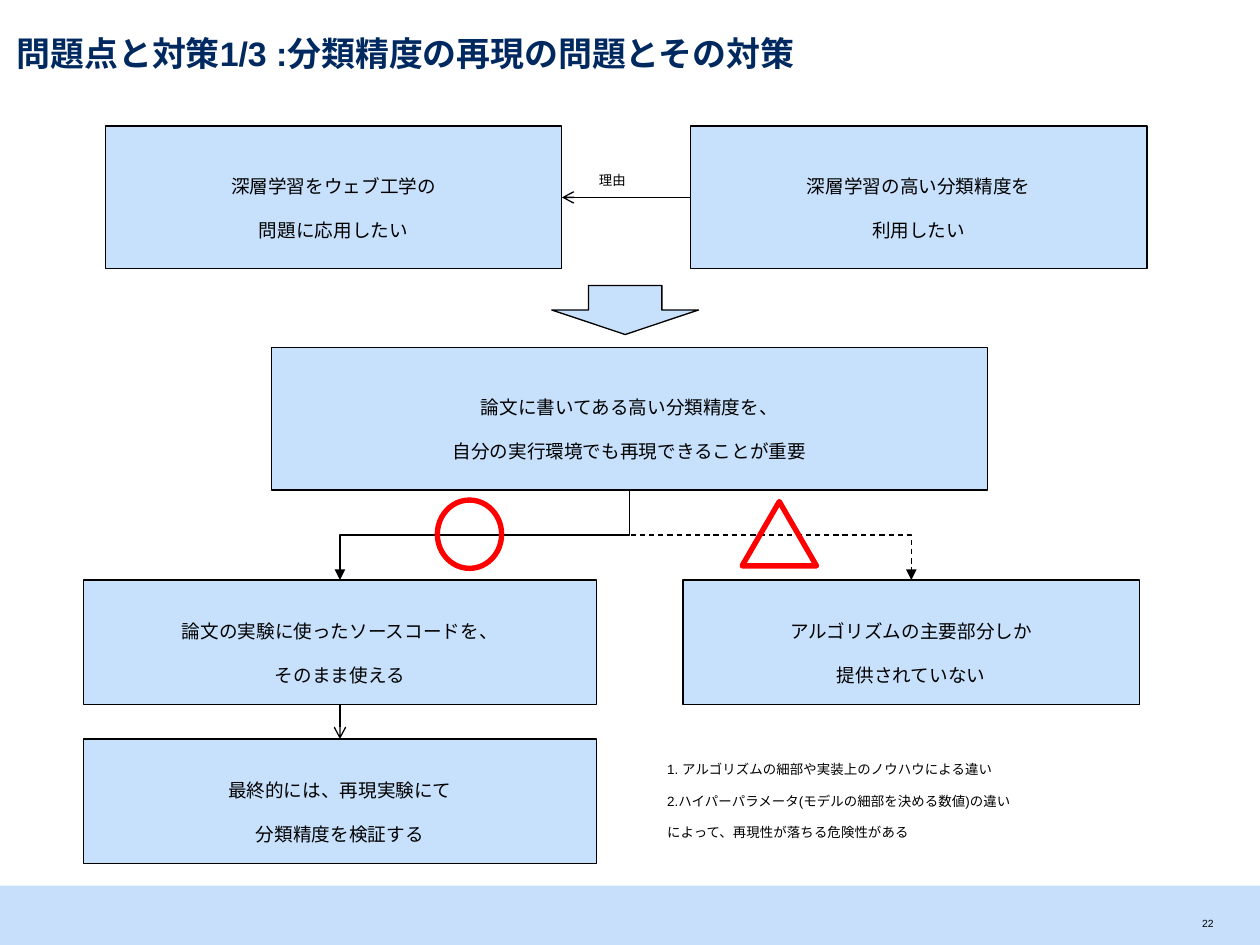
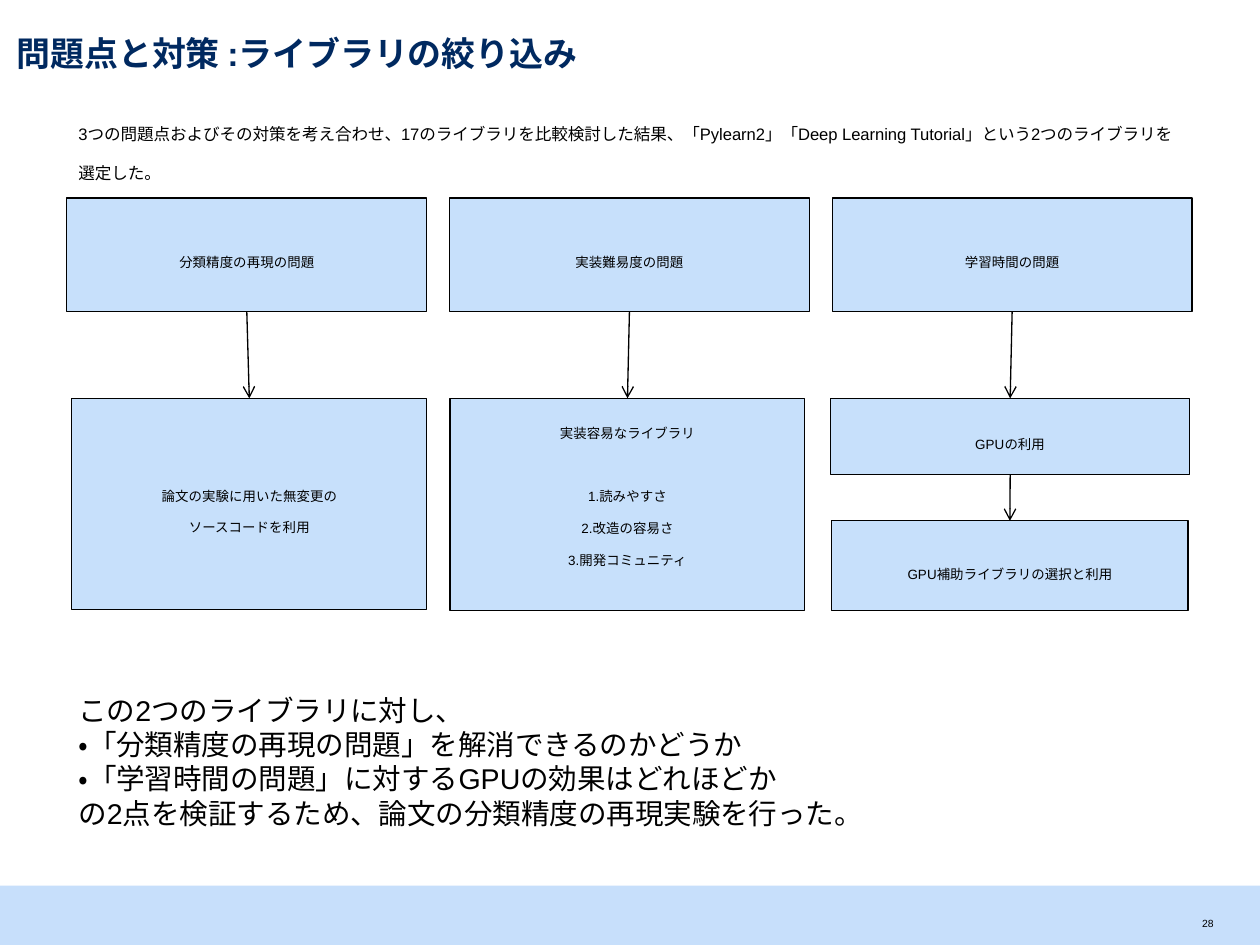
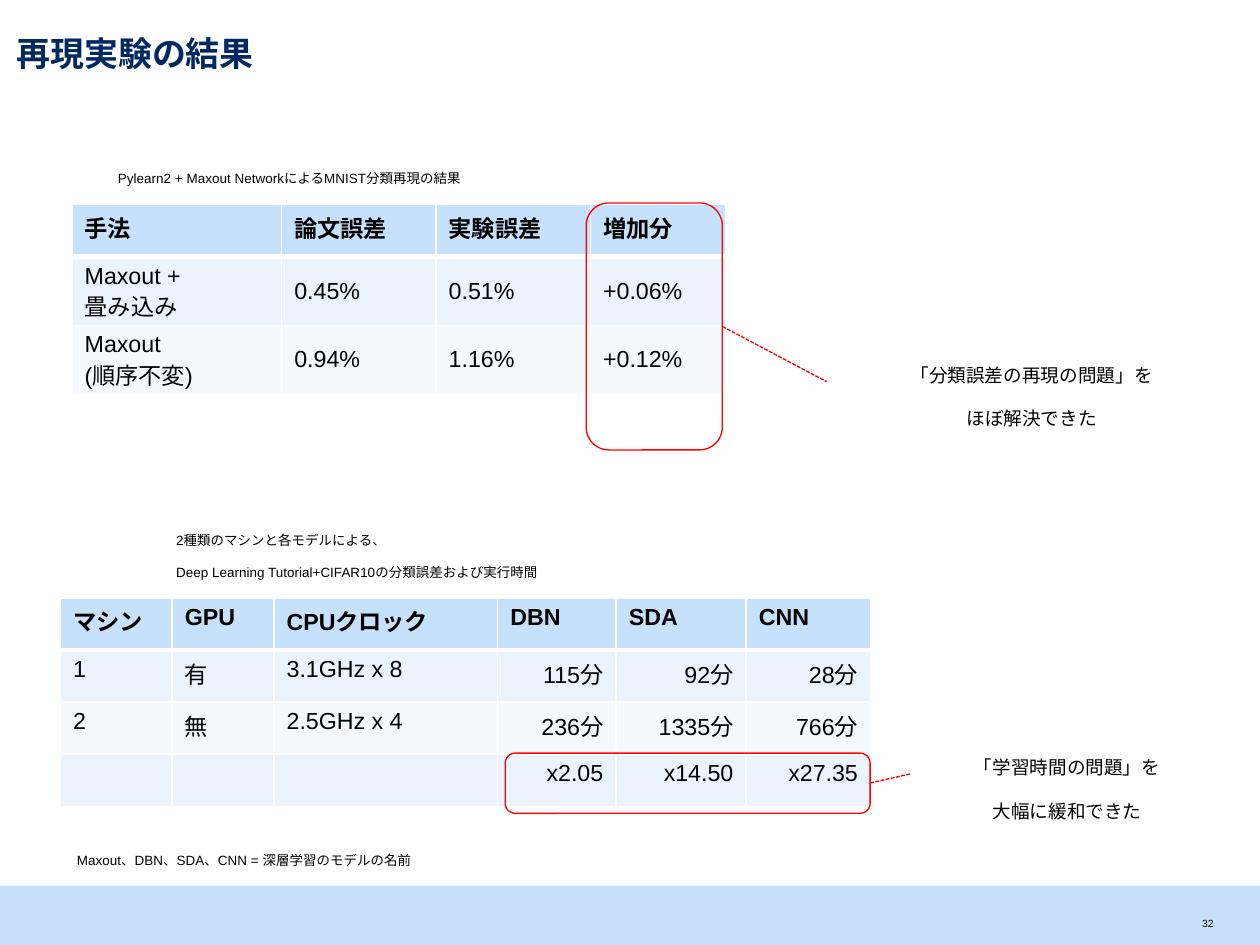
"""Build three slides on reproducing deep learning results."""
import dataclasses

import lxml.etree
import pptx
import pptx.dml.color
import pptx.enum.dml
import pptx.enum.lang
import pptx.enum.shapes
import pptx.enum.text
import pptx.oxml.ns
import pptx.util

Cm = pptx.util.Cm
Pt = pptx.util.Pt
qn = pptx.oxml.ns.qn
SHAPE = pptx.enum.shapes.MSO_SHAPE
WIRE = pptx.enum.shapes.MSO_CONNECTOR
DASH = pptx.enum.dml.MSO_LINE
ALIGN = pptx.enum.text.PP_ALIGN
ANCHOR = pptx.enum.text.MSO_ANCHOR
JAPAN = pptx.enum.lang.MSO_LANGUAGE_ID.JAPANESE


@dataclasses.dataclass(frozen=True)
class Theme:
    font: str = "Arial"
    ink: str = "000000"
    navy: str = "002960"
    band: str = "C7DFFB"
    box: str = "C7E0FB"
    rows: tuple = ("F5F9FE", "EBF3FD")
    white: str = "FFFFFF"
    red: str = "FF0000"
    title: int = 19
    large: int = 18
    body: int = 16
    small: int = 13
    page: int = 10
    thin: float = 0.75
    thick: int = 3
    low: int = -25000


def rgb(code):
    return pptx.dml.color.RGBColor.from_string(code)


class Deck:
    def __init__(self, theme):
        self.theme = theme
        self.show = pptx.Presentation()
        self.show.slide_width = Cm(24.89)
        self.show.slide_height = Cm(18.67)
        self.slide = None

    def start(self, title, page):
        t = self.theme
        self.slide = self.show.slides.add_slide(self.show.slide_layouts[6])
        self.shape(SHAPE.RECTANGLE, 0, 17.5, 24.89, 1.17, fill=t.band)
        self.text(0.33, 0.64, 23.95, 0.81, [title], t.title, color=t.navy,
                  bold=True, low=False, inset=False, anchor=ANCHOR.MIDDLE)
        self.text(23.75, 17.88, 0.53, 0.43, [str(page)], t.page, inset=False)

    def put(self, frame, lines, size, color=None, bold=False, low=True,
            align=ALIGN.LEFT):
        for i, line in enumerate(lines):
            para = frame.add_paragraph() if i else frame.paragraphs[0]
            para.alignment = align
            run = para.add_run()
            run.text = line
            font = run.font
            font.name = self.theme.font
            font.size = Pt(size)
            font.bold = bold
            font.language_id = JAPAN
            font.color.rgb = rgb(color or self.theme.ink)
            if low:
                run._r.get_or_add_rPr().set("baseline", str(self.theme.low))

    def text(self, x, y, w, h, lines, size, inset=True, anchor=ANCHOR.TOP,
             **style):
        frame = self.slide.shapes.add_textbox(
            Cm(x), Cm(y), Cm(w), Cm(h)).text_frame
        frame.word_wrap = True
        frame.vertical_anchor = anchor
        if not inset:
            frame.margin_left = frame.margin_right = 0
            frame.margin_top = frame.margin_bottom = 0
        self.put(frame, lines, size, **style)
        return frame

    def shape(self, kind, x, y, w, h, fill=None, line=None, width=None):
        item = self.slide.shapes.add_shape(kind, Cm(x), Cm(y), Cm(w), Cm(h))
        item.shadow.inherit = False
        if fill:
            item.fill.solid()
            item.fill.fore_color.rgb = rgb(fill)
        else:
            item.fill.background()
        if line:
            item.line.color.rgb = rgb(line)
            item.line.width = Pt(width or self.theme.thin)
        else:
            item.line.fill.background()
        return item

    def box(self, x, y, w, h, lines, size):
        item = self.shape(SHAPE.RECTANGLE, x, y, w, h, self.theme.box,
                          self.theme.ink)
        item.text_frame.word_wrap = True
        item.text_frame.vertical_anchor = ANCHOR.MIDDLE
        self.put(item.text_frame, lines, size, align=ALIGN.CENTER)
        return item

    def wire(self, kind, start, end, color=None, dash=None, head=None):
        item = self.slide.shapes.add_connector(kind, *start, *end)
        item.line.color.rgb = rgb(color or self.theme.ink)
        item.line.width = Pt(self.theme.thin)
        if dash:
            item.line.dash_style = dash
        if head:
            lxml.etree.SubElement(item.line._get_or_add_ln(),
                                  qn("a:tailEnd"), type=head)
        lxml.etree.SubElement(item._element.spPr, qn("a:effectLst"))
        return item

    def down(self, top, low):
        self.wire(WIRE.STRAIGHT, foot(top), crown(low), head="arrow")

    def fork(self, top, low, dash=None):
        (x1, y1), (x2, y2) = foot(top), crown(low)
        midx, midy = (x1 + x2) // 2, (y1 + y2) // 2
        dx, dy = (y2 - y1) // 2, abs(x2 - x1) // 2
        left = x2 < x1
        side = -dx if left else dx
        item = self.wire(WIRE.ELBOW, (midx + side, midy - dy),
                         (midx - side, midy + dy), dash=dash, head="triangle")
        turn = 90 if left else 270
        item._element.spPr.find(qn("a:xfrm")).set("rot", str(turn * 60000))

    def note(self, start, end):
        self.wire(WIRE.STRAIGHT, [Cm(v) for v in start],
                  [Cm(v) for v in end], self.theme.red, DASH.SQUARE_DOT)

    def edge(self, cell, head):
        props = cell._tc.get_or_add_tcPr()
        for side in "LRTB":
            width = 3 if head and side == "B" else 1
            line = lxml.etree.SubElement(props, qn("a:ln" + side),
                                         w=str(int(Pt(width))))
            fill = lxml.etree.SubElement(line, qn("a:solidFill"))
            lxml.etree.SubElement(fill, qn("a:srgbClr"), val=self.theme.white)

    def table(self, x, y, cols, data, right):
        t = self.theme
        high = 1.03
        grid = self.slide.shapes.add_table(
            len(data), len(cols), Cm(x), Cm(y), Cm(sum(cols)),
            Cm(high * len(data))).table
        grid.first_row = grid.horz_banding = False
        for col, wide in zip(grid.columns, cols):
            col.width = Cm(wide)
        for r, row in enumerate(data):
            grid.rows[r].height = Cm(high)
            for c, text in enumerate(row):
                cell = grid.cell(r, c)
                self.edge(cell, r == 0)
                cell.fill.solid()
                cell.fill.fore_color.rgb = rgb(t.rows[r % 2] if r else t.box)
                if "%" in text:
                    cell.vertical_anchor = ANCHOR.MIDDLE
                if text:
                    align = ALIGN.RIGHT if r and c >= right else ALIGN.LEFT
                    self.put(cell.text_frame, text.split("\n"), t.small,
                             bold=r == 0, low=False, align=align)


def foot(item):
    return item.left + item.width // 2, item.top + item.height


def crown(item):
    return item.left + item.width // 2, item.top


def issue(deck):
    t = deck.theme
    deck.start("問題点と対策1/3 :分類精度の再現の問題とその対策", 22)
    deck.box(2.08, 2.49, 9.02, 2.82,
             ["深層学習をウェブ工学の", "問題に応用したい"], t.large)
    deck.box(13.64, 2.49, 9.02, 2.82,
             ["深層学習の高い分類精度を", "利用したい"], t.large)
    deck.wire(WIRE.STRAIGHT, (Cm(13.64), Cm(3.9)), (Cm(11.1), Cm(3.9)),
              head="arrow")
    deck.text(11.58, 2.97, 1.45, 0.81, ["理由"], t.small)
    deck.shape(SHAPE.DOWN_ARROW, 10.9, 5.64, 2.9, 0.97, t.box, t.ink)
    goal = deck.box(5.36, 6.86, 14.15, 2.82,
                    ["論文に書いてある高い分類精度を、",
                     "自分の実行環境でも再現できることが重要"], t.large)
    code = deck.box(1.65, 11.46, 10.13, 2.46,
                    ["論文の実験に使ったソースコードを、", "そのまま使える"],
                    t.large)
    part = deck.box(13.49, 11.46, 9.02, 2.46,
                    ["アルゴリズムの主要部分しか", "提供されていない"], t.large)
    deck.fork(goal, code)
    deck.fork(goal, part, DASH.DASH)
    deck.shape(SHAPE.OVAL, 8.64, 9.88, 1.27, 1.35, line=t.red, width=t.thick)
    deck.shape(SHAPE.ISOSCELES_TRIANGLE, 14.66, 9.91, 1.47, 1.27,
               line=t.red, width=t.thick)
    test = deck.box(1.65, 14.6, 10.13, 2.46,
                    ["最終的には、再現実験にて", "分類精度を検証する"], t.large)
    deck.down(code, test)
    deck.text(12.93, 14.6, 11.96, 1.93,
              ["1. アルゴリズムの細部や実装上のノウハウによる違い",
               "2.ハイパーパラメータ(モデルの細部を決める数値)の違い",
               "によって、再現性が落ちる危険性がある"], t.small)


def choice(deck):
    t = deck.theme
    deck.start("問題点と対策 :ライブラリの絞り込み", 28)
    names = ["分類精度の再現の問題", "実装難易度の問題", "学習時間の問題"]
    tops = [deck.box(1.32 + 7.56 * i, 3.91, 7.11, 2.24, [name], t.small)
            for i, name in enumerate(names)]
    code = deck.box(1.42, 7.87, 7.01, 4.17,
                    ["論文の実験に用いた無変更の", "ソースコードを利用"], t.small)
    ease = deck.box(8.89, 7.87, 7.01, 4.19,
                    ["実装容易なライブラリ", "1.読みやすさ", "2.改造の容易さ",
                     "3.開発コミュニティ"], t.small)
    ease.text_frame.paragraphs[1].space_before = Pt(17.5)
    ease.text_frame.margin_bottom = Cm(0.74)
    card = deck.box(16.41, 7.87, 7.09, 1.5, ["GPUの利用"], t.small)
    tool = deck.box(16.43, 10.29, 7.04, 1.78,
                    ["GPU補助ライブラリの選択と利用"], t.small)
    for top, low in zip(tops + [card], [code, ease, card, tool]):
        deck.down(top, low)
    body = deck.text(1.55, 13.69, 21.92, 2.74,
                     ["この2つのライブラリに対し、",
                      "・「分類精度の再現の問題」を解消できるのかどうか",
                      "・「学習時間の問題」に対するGPUの効果はどれほどか",
                      "の2点を検証するため、論文の分類精度の再現実験を行った。"],
                     t.body, low=False, inset=False)
    for para in body.paragraphs:
        para.line_spacing = Pt(19.2)
    deck.text(1.55, 2.08, 21.92, 1.37,
              ["3つの問題点およびその対策を考え合わせ、17のライブラリを"
               "比較検討した結果、「Pylearn2」「Deep Learning Tutorial」"
               "という2つのライブラリを選定した。"], t.body, inset=False)


def result(deck):
    t = deck.theme
    deck.start("再現実験の結果", 32)
    deck.table(1.42, 4.04, [4.14, 3.05, 3.05, 2.67], [
        ["手法", "論文誤差", "実験誤差", "増加分"],
        ["Maxout +\n畳み込み", "0.45%", "0.51%", "+0.06%"],
        ["Maxout\n(順序不変)", "0.94%", "1.16%", "+0.12%"]], 4)
    deck.table(1.19, 11.81, [2.21, 2.01, 4.42, 2.34, 2.57, 2.46], [
        ["マシン", "GPU", "CPUクロック", "DBN", "SDA", "CNN"],
        ["1", "有", "3.1GHz x 8", "115分", "92分", "28分"],
        ["2", "無", "2.5GHz x 4", "236分", "1335分", "766分"],
        ["", "", "", "x2.05", "x14.50", "x27.35"]], 3)
    deck.text(2.08, 2.92, 12.01, 0.81,
              ["Pylearn2 + Maxout NetworkによるMNIST分類再現の結果"], t.small)
    deck.text(3.23, 10.08, 12.8, 1.37,
              ["2種類のマシンと各モデルによる、",
               "Deep Learning Tutorial+CIFAR10の分類誤差および実行時間"],
              t.small)
    deck.shape(SHAPE.ROUNDED_RECTANGLE, 11.58, 4.01, 2.69, 4.88, line=t.red)
    deck.text(16.33, 6.63, 8.1, 1.8,
              ["「分類誤差の再現の問題」を", "ほぼ解決できた"], t.large,
              align=ALIGN.CENTER)
    deck.note((14.27, 6.45), (16.33, 7.54))
    deck.shape(SHAPE.ROUNDED_RECTANGLE, 9.98, 14.88, 7.21, 1.19, line=t.red)
    deck.note((17.19, 15.47), (17.98, 15.29))
    deck.text(17.98, 14.38, 6.2, 1.8,
              ["「学習時間の問題」を", "大幅に緩和できた"], t.large,
              align=ALIGN.CENTER)
    deck.text(1.27, 16.41, 11.76, 0.81,
              ["Maxout、DBN、SDA、CNN = 深層学習のモデルの名前"], t.small)


def main():
    deck = Deck(Theme())
    for build in (issue, choice, result):
        build(deck)
    deck.show.save("out.pptx")


if __name__ == "__main__":
    main()
